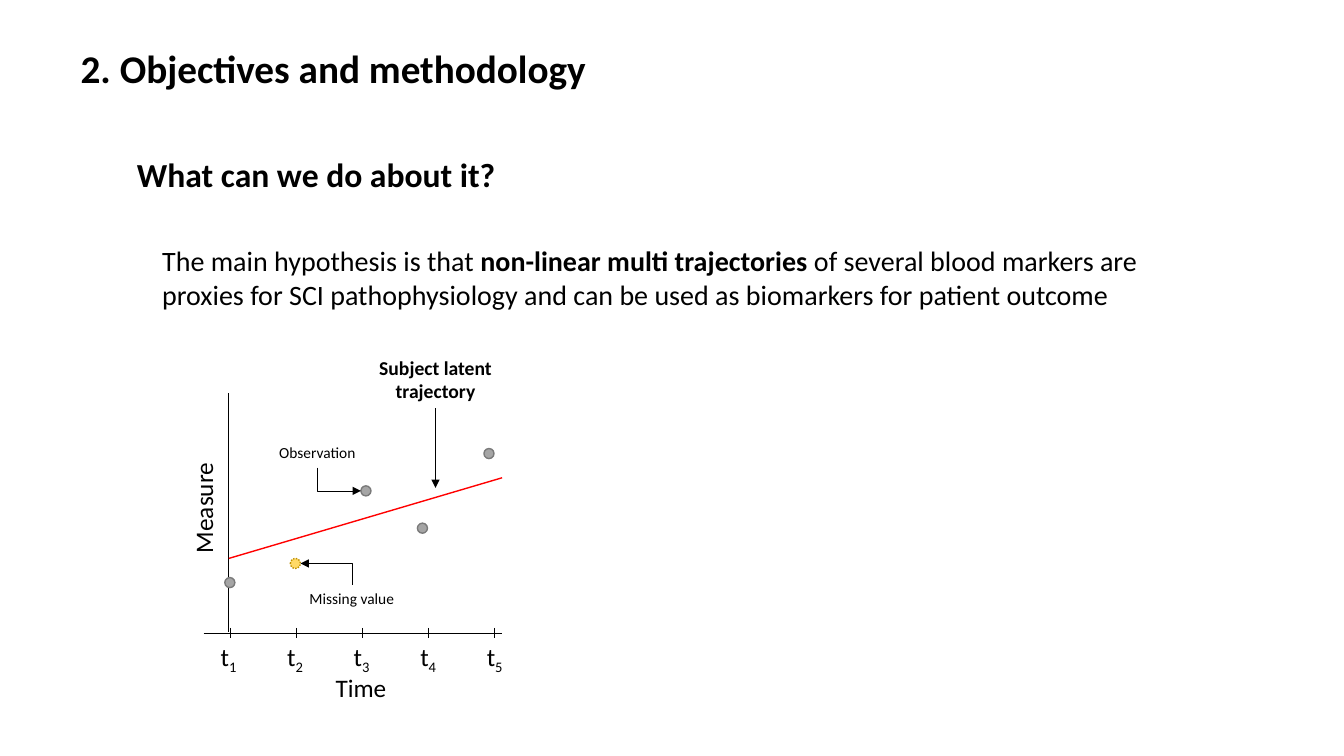
from lxml import etree
from pptx import Presentation
from pptx.dml.color import RGBColor
from pptx.enum.dml import MSO_LINE
from pptx.enum.shapes import MSO_CONNECTOR, MSO_SHAPE
from pptx.enum.text import MSO_ANCHOR, MSO_AUTO_SIZE, PP_ALIGN
from pptx.oxml.ns import qn
from pptx.util import Inches, Pt

BLACK = RGBColor(0, 0, 0)
RED = RGBColor(0xFF, 0, 0)
GRAY = RGBColor(0xA5, 0xA5, 0xA5)
GRAY_EDGE = RGBColor(0x7A, 0x7A, 0x7A)
GOLD = RGBColor(0xFF, 0xD9, 0x66)
GOLD_EDGE = RGBColor(0xBF, 0x90, 0)

STRAIGHT = MSO_CONNECTOR.STRAIGHT
ELBOW = MSO_CONNECTOR.ELBOW
OVAL = MSO_SHAPE.OVAL
DOTTED = MSO_LINE.ROUND_DOT
TOP = MSO_ANCHOR.TOP
GROW = MSO_AUTO_SIZE.SHAPE_TO_FIT_TEXT
LEFT = PP_ALIGN.LEFT
CENTER = PP_ALIGN.CENTER

DOT = 0.1
DOTS = [(2.23, 5.73), (3.58, 4.82), (4.14, 5.19), (4.8, 4.45)]


def apply(item, values):
    for name, value in values.items():
        setattr(item, name, value)


def write(shape, runs, size, wrap=True, align=LEFT):
    frame = shape.text_frame
    apply(frame, {"word_wrap": wrap, "auto_size": GROW, "vertical_anchor": TOP})
    para = frame.paragraphs[0]
    para.alignment = align
    for text, bold in runs:
        run = para.add_run()
        run.text = text
        apply(run.font, {"name": "Calibri", "size": Pt(size), "bold": bold})
        run.font.color.rgb = BLACK
    return para


def add_text(slide, box, runs, size, wrap=False, align=LEFT):
    shape = slide.shapes.add_textbox(*map(Inches, box))
    write(shape, runs, size, wrap, align)
    return shape


def add_line(slide, start, end, color=BLACK, width=0.5, arrow=False, kind=STRAIGHT):
    line = slide.shapes.add_connector(kind, *map(Inches, (*start, *end)))
    line.line.color.rgb = color
    line.line.width = Pt(width)
    props = line._element.spPr
    if arrow:
        tail = etree.SubElement(props.find(qn("a:ln")), qn("a:tailEnd"))
        tail.set("type", "triangle")
    etree.SubElement(props, qn("a:effectLst"))
    return line


def add_bend(slide, start, end):
    (x1, y1), (x2, y2) = start, end
    mid_x, mid_y = (x1 + x2) / 2, (y1 + y2) / 2
    half_x, half_y = (x2 - x1) / 2, (y2 - y1) / 2
    bend = add_line(slide, (mid_x + half_y, mid_y - half_x),
                    (mid_x - half_y, mid_y + half_x), arrow=True, kind=ELBOW)
    props = bend._element.spPr
    props.find(qn("a:prstGeom")).set("prst", "bentConnector2")
    props.find(qn("a:xfrm")).set("rot", str(270 * 60000))


def add_dot(slide, spot, fill=GRAY, edge=GRAY_EDGE, dash=None):
    dot = slide.shapes.add_shape(OVAL, *map(Inches, (*spot, DOT, DOT)))
    dot.shadow.inherit = False
    dot.fill.solid()
    dot.fill.fore_color.rgb = fill
    dot.line.color.rgb = edge
    apply(dot.line, {"width": Pt(1), "dash_style": dash})


def add_title(slide, text):
    title = slide.shapes.title
    apply(title, {"left": Inches(0.7), "top": Inches(0.39),
                  "width": Inches(9.38), "height": Inches(0.57)})
    write(title, [(text, True)], 28)


def add_axes(slide):
    add_line(slide, (2.27, 3.9), (2.27, 6.27))
    add_line(slide, (2.02, 6.28), (4.98, 6.28))
    for i in range(5):
        x = 2.28 + 0.655 * i
        add_line(slide, (x, 6.23), (x, 6.33))
        label = add_text(slide, (2.09 + 0.66 * i, 6.31, 0.37, 0.4),
                         [("t", False), (str(i + 1), False)], 18)
        sub = label.text_frame.paragraphs[0].runs[1]
        sub._r.get_or_add_rPr().set("baseline", "-25000")
    add_text(slide, (3.23, 6.62, 0.71, 0.4), [("Time", False)], 18)
    name = add_text(slide, (1.46, 4.83, 1.11, 0.4), [("Measure", False)], 18)
    name.rotation = 270


def add_points(slide):
    for spot in DOTS:
        add_dot(slide, spot)
    add_dot(slide, (2.88, 5.54), GOLD, GOLD_EDGE, DOTTED)
    add_line(slide, (2.27, 5.54), (4.98, 4.74), RED, 1)


def add_notes(slide):
    add_text(slide, (2.67, 4.35, 0.97, 0.29), [("Observation", False)], 11)
    add_bend(slide, (3.15, 4.64), (3.58, 4.87))
    add_text(slide, (2.97, 5.8, 1.05, 0.29), [("Missing value", False)], 11)
    add_bend(slide, (3.49, 5.8), (2.98, 5.59))
    trend = add_text(slide, (3.61, 3.48, 1.42, 0.57),
                     [("Subject latent trajectory", True)], 14, True, CENTER)
    arrow = add_line(slide, (4.32, 4.05), (4.32, 4.84), arrow=True)
    arrow.begin_connect(trend, 2)


def main():
    deck = Presentation()
    apply(deck, {"slide_width": Inches(13.33), "slide_height": Inches(7.5)})
    slide = deck.slides.add_slide(deck.slide_layouts[5])
    add_title(slide, "2. Objectives and methodology")
    add_text(slide, (1.26, 1.48, 3.79, 0.5), [("What can we do about it?", True)], 24)
    add_text(slide, (1.51, 2.37, 10.41, 0.77), [
        ("The main hypothesis is that ", False),
        ("non-linear multi trajectories ", True),
        ("of several blood markers are proxies for SCI pathophysiology "
         "and can be used as biomarkers for patient outcome", False),
    ], 20, True)
    add_axes(slide)
    add_points(slide)
    add_notes(slide)
    deck.save("out.pptx")


if __name__ == "__main__":
    main()
